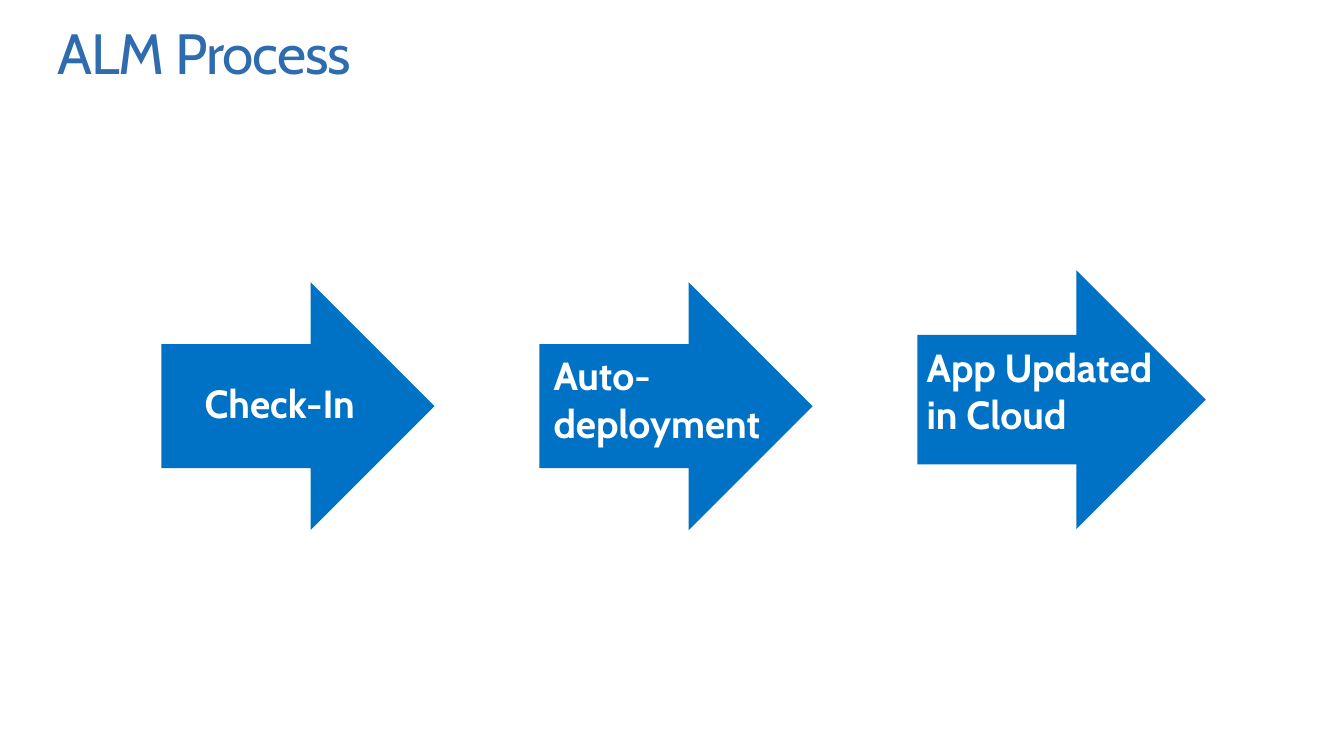
from dataclasses import dataclass

from pptx import Presentation
from pptx.dml.color import RGBColor
from pptx.enum.shapes import MSO_SHAPE
from pptx.enum.text import MSO_ANCHOR, MSO_AUTO_SIZE, PP_ALIGN
from pptx.slide import Slide
from pptx.text.text import TextFrame
from pptx.util import Inches, Length, Pt

TITLE_BLUE = RGBColor(0x2E, 0x6C, 0xAF)
ARROW_BLUE = RGBColor(0x00, 0x72, 0xC6)
WHITE = RGBColor(0xFF, 0xFF, 0xFF)
FONT = "Cabin"

FIRST_COLUMN = 16
COLUMN_STEP = 37.5


@dataclass(frozen=True)
class Step:
    label: str
    row: float
    columns: float
    rows: float
    label_indent: float
    label_row: float
    label_columns: float


STEPS = [
    Step("Check-In", 28, 27.1, 24.6, 4.3, 37.6, 18.5),
    Step("Auto-deployment", 28, 27.1, 24.6, 1.4, 34.9, 21.4),
    Step("App Updated in Cloud", 26.8, 28.6, 25.7, 0.9, 34.1, 23.5),
]
LABEL_ROWS = 5.4


def cells(count: float) -> Length:
    return Inches(count / 10)


def write(frame: TextFrame, text: str, size: float, color: RGBColor, bold: bool) -> None:
    frame.margin_left = frame.margin_top = frame.margin_right = frame.margin_bottom = 0
    frame.word_wrap = True
    frame.auto_size = MSO_AUTO_SIZE.NONE
    frame.vertical_anchor = MSO_ANCHOR.TOP
    frame.text = text
    paragraph = frame.paragraphs[0]
    paragraph.alignment = PP_ALIGN.LEFT
    font = paragraph.runs[0].font
    font.name = FONT
    font.size = Pt(size)
    font.bold = bold
    font.color.rgb = color


def add_heading(slide: Slide, text: str) -> None:
    heading = slide.shapes.title
    heading.left, heading.top = cells(5.7), cells(2.5)
    heading.width, heading.height = cells(122), cells(8.2)
    write(heading.text_frame, text, 40.5, TITLE_BLUE, False)
    paragraph = heading.text_frame.paragraphs[0]
    paragraph.line_spacing = 0.9
    paragraph.runs[0].font._element.set("spc", "-80")


def add_step(slide: Slide, step: Step, column: float) -> None:
    group = slide.shapes.add_group_shape()
    arrow = group.shapes.add_shape(
        MSO_SHAPE.RIGHT_ARROW,
        cells(column), cells(step.row), cells(step.columns), cells(step.rows),
    )
    arrow.shadow.inherit = False
    arrow.fill.solid()
    arrow.fill.fore_color.rgb = ARROW_BLUE
    arrow.line.fill.background()
    label = group.shapes.add_textbox(
        cells(column + step.label_indent), cells(step.label_row),
        cells(step.label_columns), cells(LABEL_ROWS),
    )
    write(label.text_frame, step.label, 28, WHITE, True)


def main() -> None:
    deck = Presentation()
    deck.slide_width, deck.slide_height = Inches(13.33), Inches(7.5)
    slide = deck.slides.add_slide(deck.slide_layouts.get_by_name("Title Only"))
    add_heading(slide, "ALM Process")
    for index, step in enumerate(STEPS):
        add_step(slide, step, FIRST_COLUMN + index * COLUMN_STEP)
    deck.save("out.pptx")


if __name__ == "__main__":
    main()
